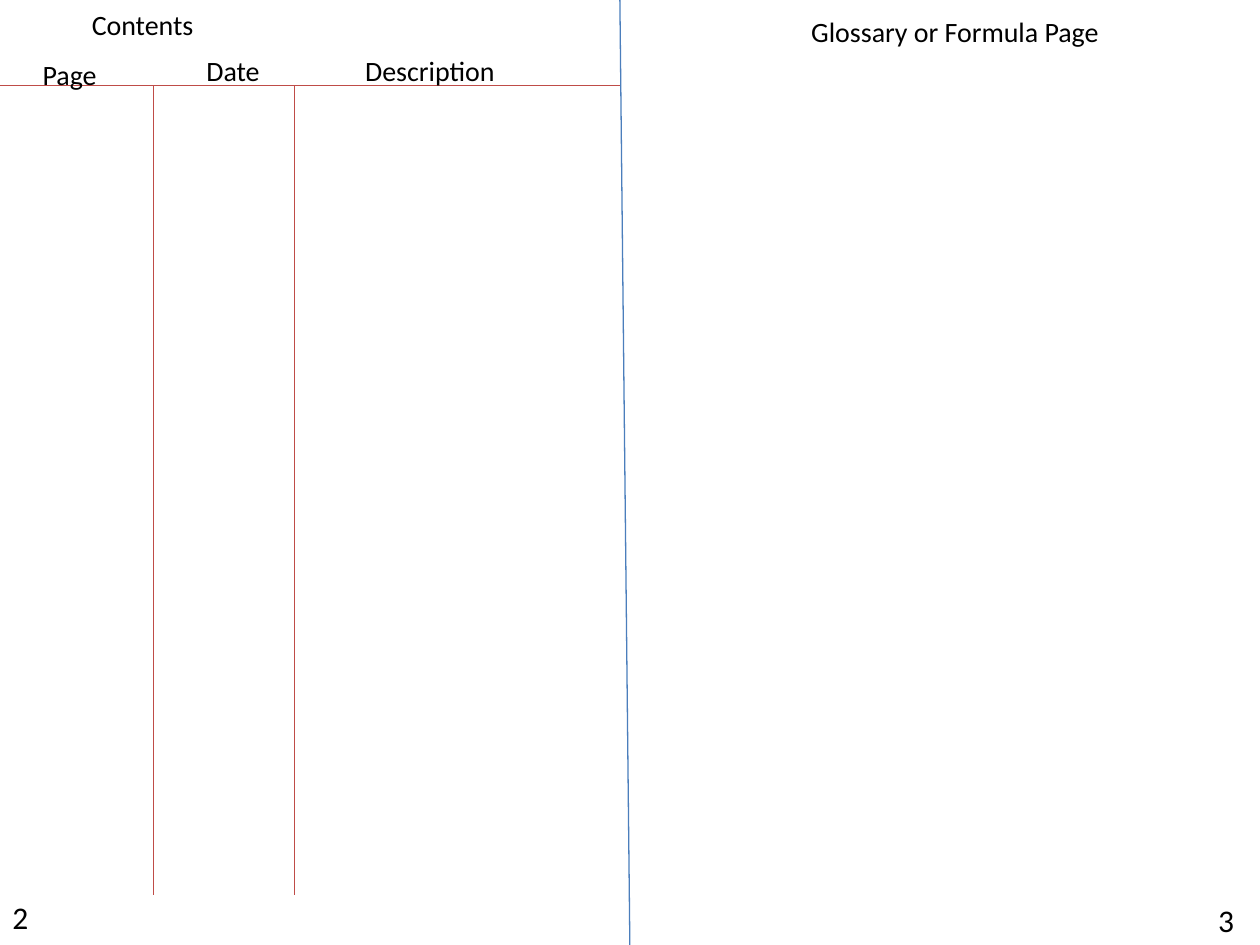
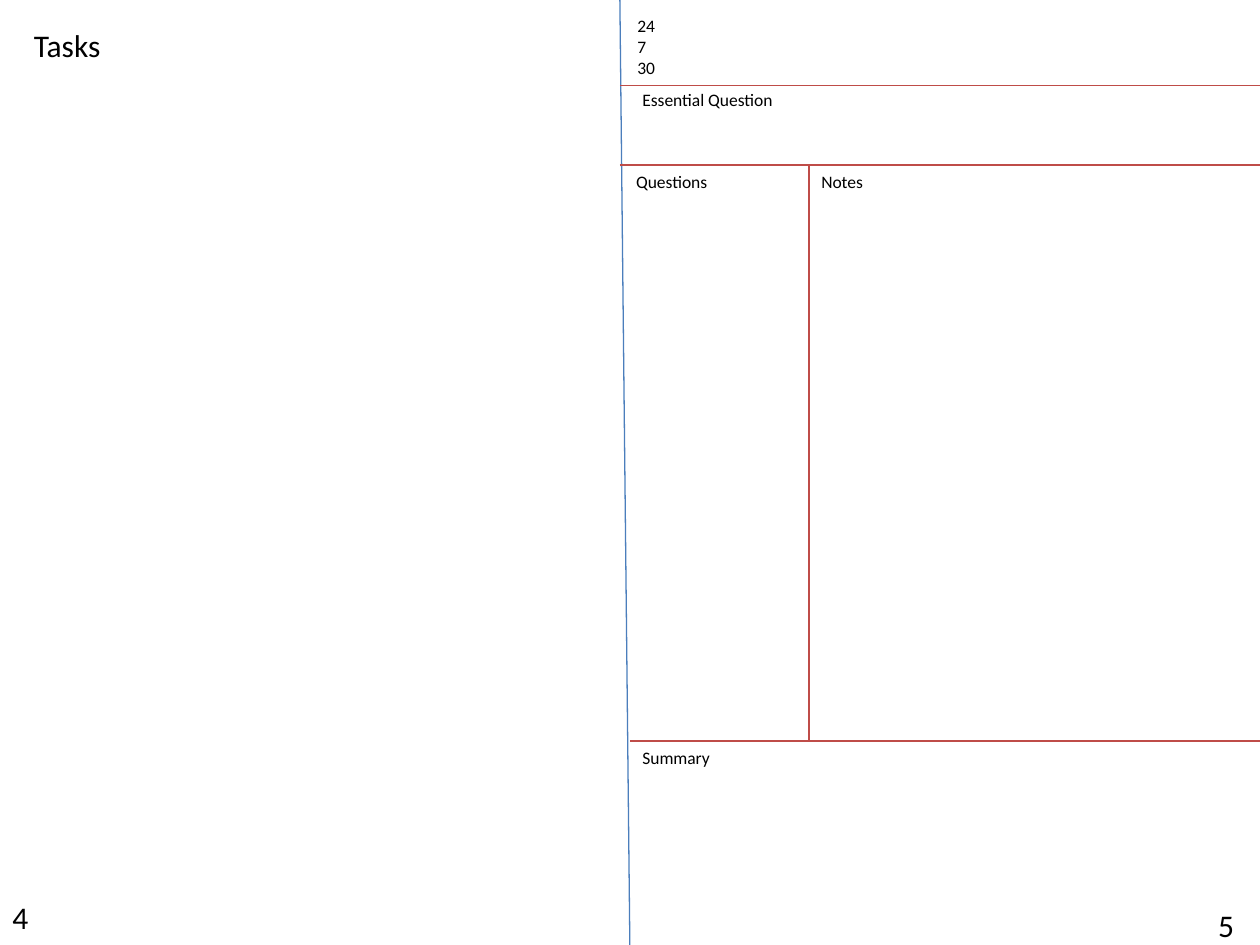
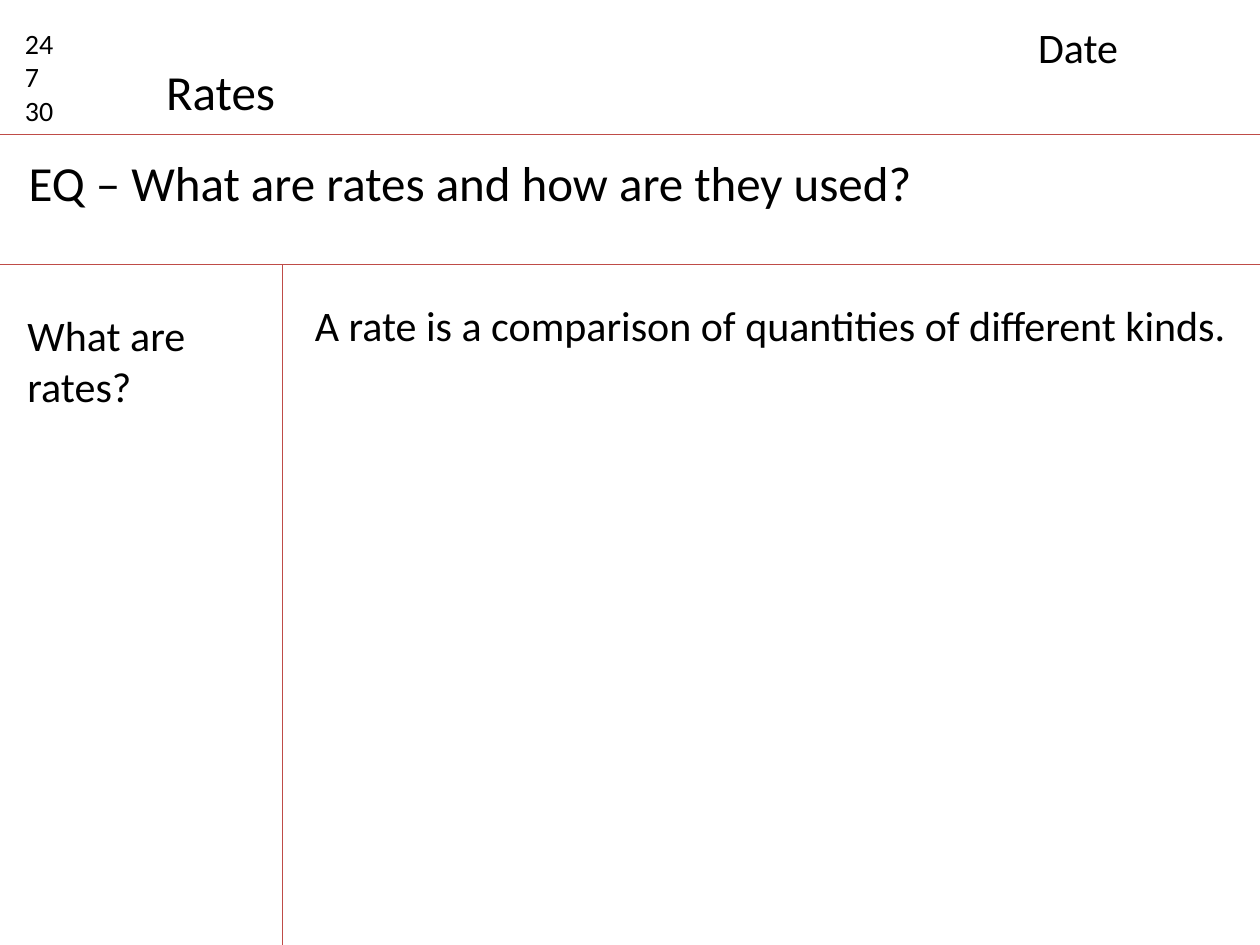
"""Build a notebook set-up deck: contents, Cornell notes and a rates lesson."""
from dataclasses import dataclass

from lxml import etree
from pptx import Presentation
from pptx import util as u
from pptx.dml.color import RGBColor
from pptx.enum import shapes, text
from pptx.oxml import ns
from pptx.slide import Slide


@dataclass(frozen=True)
class Theme:
    """Colours, type sizes and line weight used throughout."""

    font: str = "Calibri"
    ink: RGBColor = RGBColor(0x00, 0x00, 0x00)
    fold: RGBColor = RGBColor(0x4B, 0x7E, 0xBC)
    rule: RGBColor = RGBColor(0xBF, 0x4C, 0x48)
    weight: float = 0.75
    small: int = 10
    label: int = 16
    folio: int = 18
    body: int = 24
    title: int = 28


@dataclass(frozen=True)
class Rule:
    """A straight line, in inches."""

    x1: float
    y1: float
    x2: float
    y2: float
    color: RGBColor


@dataclass(frozen=True)
class Label:
    """A text box, in inches, with its type size."""

    text: str
    left: float
    top: float
    width: float
    height: float
    size: int
    wrap: bool = False


THEME = Theme()
WIDTH, HEIGHT = 10, 7.5
FOLD_TOP, FOLD_BOTTOM = 4.92, 5
HEAD_Y = 0.68
REMINDER = "24\n7\n30"


def across(y: float, left: float = 0, right: float = WIDTH) -> Rule:
    """Return a horizontal rule."""
    return Rule(left, y, right, y, THEME.rule)


def down(x: float, top: float, bottom: float) -> Rule:
    """Return a vertical rule."""
    return Rule(x, top, x, bottom, THEME.rule)


def draw_rule(s: Slide, rule: Rule) -> None:
    """Draw one line without a shadow."""
    ends = (u.Inches(v) for v in (rule.x1, rule.y1, rule.x2, rule.y2))
    line = s.shapes.add_connector(shapes.MSO_CONNECTOR.STRAIGHT, *ends)
    line.line.color.rgb = rule.color
    line.line.width = u.Pt(THEME.weight)
    etree.SubElement(line._element.spPr, ns.qn("a:effectLst"))


def draw_label(s: Slide, label: Label) -> None:
    """Draw one text box."""
    box = (label.left, label.top, label.width, label.height)
    sp = s.shapes.add_textbox(*(u.Inches(v) for v in box))
    tf = sp.text_frame
    tf.text = label.text
    tf.word_wrap = label.wrap
    tf.auto_size = text.MSO_AUTO_SIZE.SHAPE_TO_FIT_TEXT
    for p in tf.paragraphs:
        for r in p.runs:
            r.font.name = THEME.font
            r.font.size = u.Pt(label.size)
            r.font.color.rgb = THEME.ink


def add_page(prs: Presentation, rules: list[Rule], labels: list[Label]) -> Slide:
    """Add a blank slide and draw its rules and labels."""
    s = prs.slides.add_slide(prs.slide_layouts[6])
    for rule in rules:
        draw_rule(s, rule)
    for label in labels:
        draw_label(s, label)
    return s


def add_spread(prs: Presentation, left_page: int, right_top: float,
               rules: list[Rule], labels: list[Label]) -> Slide:
    """Add two facing notebook pages with a fold and page numbers."""
    fold = Rule(FOLD_TOP, 0, FOLD_BOTTOM, 7.61, THEME.fold)
    folios = [
        Label(str(left_page), 0, 7.08, 0.33, 0.4, THEME.folio),
        Label(str(left_page + 1), 9.57, right_top, 0.6, 0.4, THEME.folio, True),
    ]
    return add_page(prs, [fold, *rules], folios + labels)


def add_contents(prs: Presentation) -> None:
    """Add the contents and glossary pages."""
    rules = [across(HEAD_Y, -0.16, FOLD_TOP)]
    rules += [down(x, HEAD_Y, 7.1) for x in (1.22, 2.34)]
    add_spread(prs, 2, 7.1, rules, [
        Label("Contents", 0.63, 0.01, 1.02, 0.37, THEME.label),
        Label("Page", 0.24, 0.41, 0.64, 0.37, THEME.label),
        Label("Date", 1.54, 0.38, 0.63, 0.37, THEME.label),
        Label("Description", 2.8, 0.38, 1.53, 0.37, THEME.label, True),
        Label("Glossary or Formula Page", 6.34, 0.07, 2.83, 0.37, THEME.label, True),
    ])


def add_notes_guide(prs: Presentation) -> None:
    """Add the tasks page facing the Cornell notes layout."""
    notes_x, notes_y, summary_y = 6.42, 1.31, 5.88
    rules = [across(y, FOLD_TOP) for y in (HEAD_Y, notes_y)]
    rules += [across(summary_y, FOLD_BOTTOM, 10.17), down(notes_x, notes_y, summary_y)]
    add_spread(prs, 4, 7.14, rules, [
        Label(REMINDER, 4.96, 0.07, 0.47, 0.61, THEME.small, True),
        Label("Essential Question", FOLD_BOTTOM, 0.66, 1.25, 0.27, THEME.small),
        Label("Notes", notes_x, notes_y, 0.54, 0.27, THEME.small),
        Label("Questions", 4.95, notes_y, 0.78, 0.27, THEME.small),
        Label("Summary", FOLD_BOTTOM, summary_y, 0.74, 0.27, THEME.small),
        Label("Tasks", 0.17, 0.16, 0.73, 0.4, THEME.folio),
    ])


def add_rates(prs: Presentation) -> None:
    """Add the rates lesson in the Cornell layout."""
    head_y, notes_y = 1.07, 2.1
    add_page(prs, [across(head_y), across(notes_y), down(2.24, notes_y, 7.69)], [
        Label(REMINDER, 0.1, 0.16, 0.63, 0.91, THEME.label, True),
        Label("Rates", 1.22, 0.44, 1.08, 0.57, THEME.title),
        Label("Date", 8.14, 0.12, 1.73, 0.5, THEME.body, True),
        Label("EQ – What are rates and how are they used?",
              0.13, 1.16, 9.43, 0.57, THEME.title, True),
        Label("What are rates?", 0.12, 2.41, 1.97, 0.91, THEME.body, True),
        Label("A rate is a comparison of quantities of different kinds.",
              2.4, 2.33, 7.77, 0.5, THEME.body, True),
    ])


def main() -> None:
    """Build and save the deck."""
    prs = Presentation()
    prs.slide_width, prs.slide_height = u.Inches(WIDTH), u.Inches(HEIGHT)
    add_contents(prs)
    add_notes_guide(prs)
    add_rates(prs)
    prs.save("out.pptx")


if __name__ == "__main__":
    main()
